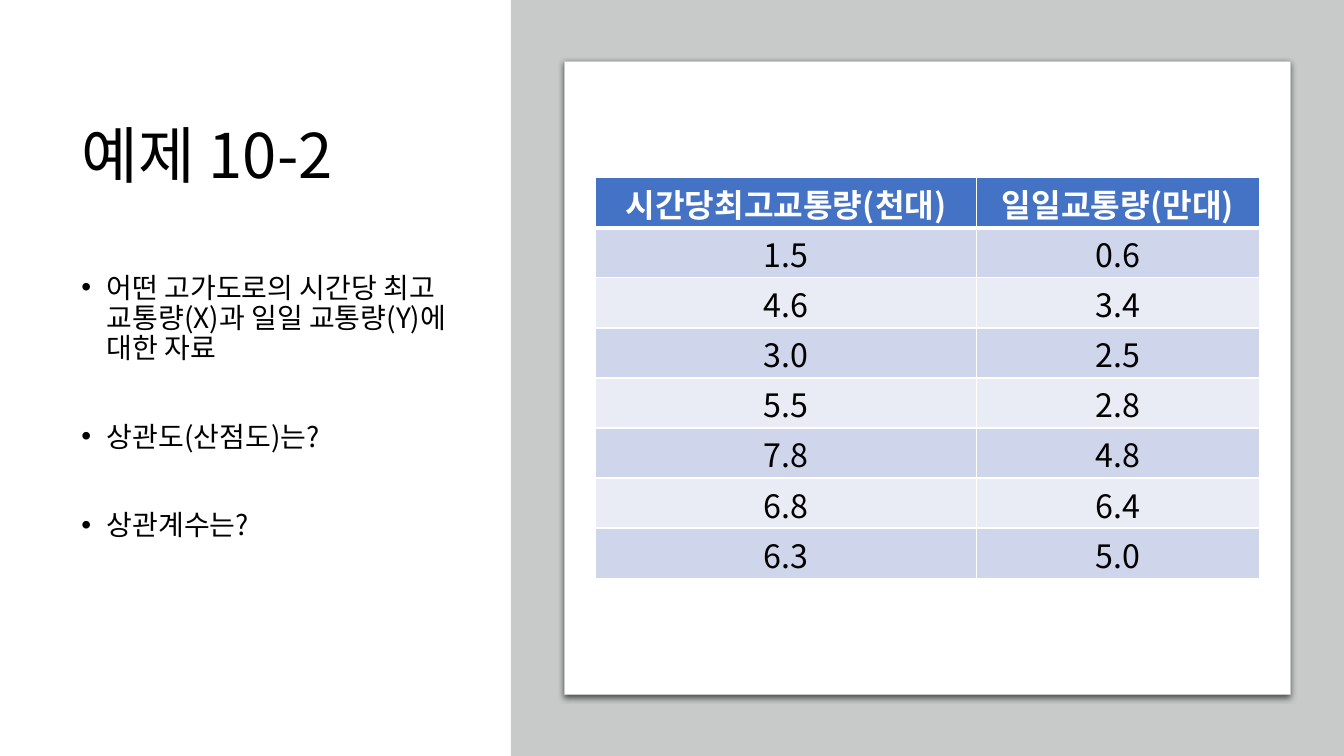
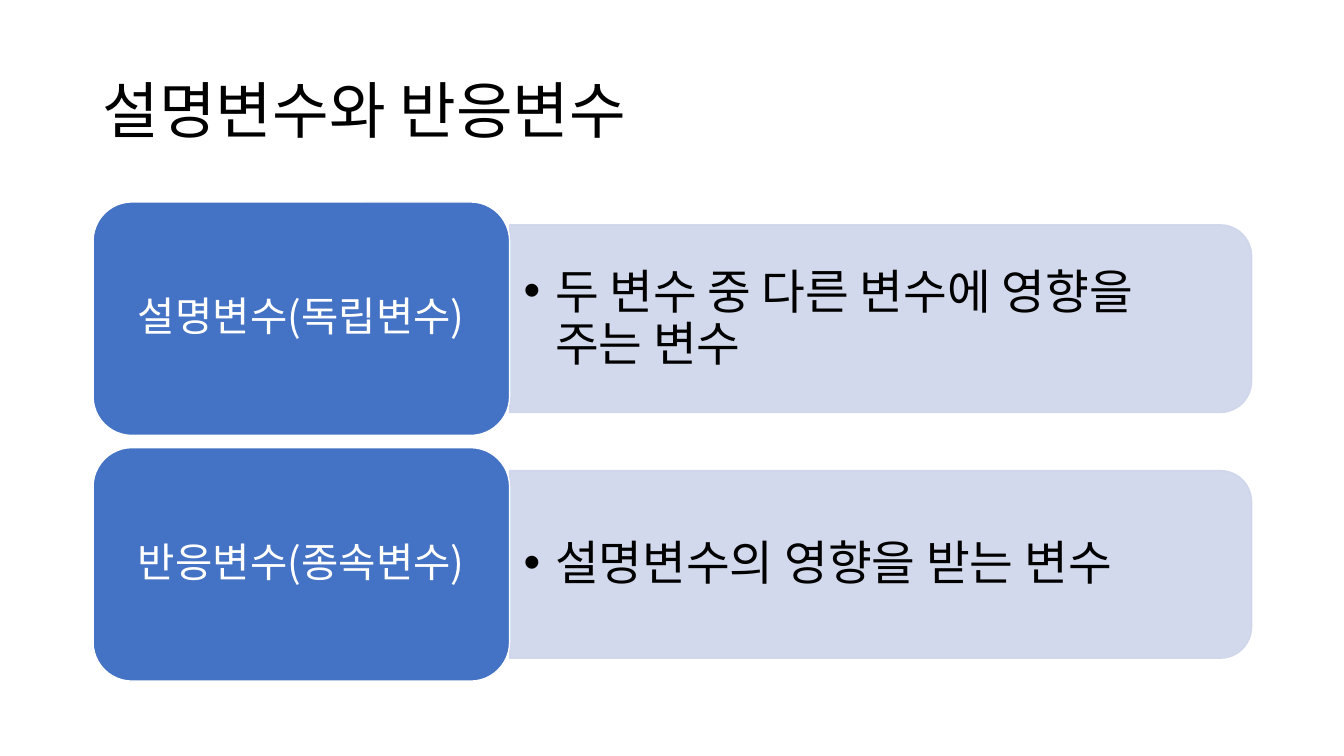
from lxml import etree
from pptx import Presentation
from pptx.dml.color import RGBColor
from pptx.enum import shapes, text
from pptx.oxml import parse_xml
from pptx.oxml.ns import nsdecls, qn
from pptx.util import Pt

FONT = "Noto Sans CJK KR"
COLORS = {
    "ink": "000000", "white": "FFFFFF", "panel": "C8CACA",
    "accent": "4472C4", "tint": "CFD5EA", "pale": "E9EBF5",
}

EXAMPLE_TITLE = "예제 10-2"
QUESTIONS = [
    "어떤 고가도로의 시간당 최고 교통량(X)과 일일 교통량(Y)에 대한 자료",
    "상관도(산점도)는?",
    "상관계수는?",
]
TRAFFIC = [
    ("시간당최고교통량(천대)", "일일교통량(만대)"),
    ("1.5", "0.6"),
    ("4.6", "3.4"),
    ("3.0", "2.5"),
    ("5.5", "2.8"),
    ("7.8", "4.8"),
    ("6.8", "6.4"),
    ("6.3", "5.0"),
]
VARIABLES_TITLE = "설명변수와 반응변수"
VARIABLES = [
    ("설명변수(독립변수)", "두 변수 중 다른 변수에 영향을 주는 변수"),
    ("반응변수(종속변수)", "설명변수의 영향을 받는 변수"),
]


def rgb(name):
    return RGBColor.from_string(COLORS[name])


def place(shape, left, top, width, height):
    shape.left, shape.top = Pt(left), Pt(top)
    shape.width, shape.height = Pt(width), Pt(height)


def write(para, words, size, color="ink", bold=False,
          align=text.PP_ALIGN.LEFT, spacing=0.9):
    para.alignment = align
    para.line_spacing = spacing
    para.space_before = para.space_after = Pt(0)
    span = para.add_run()
    span.text = words
    span.font.name = FONT
    span.font.size = Pt(size)
    span.font.bold = bold
    span.font.color.rgb = rgb(color)
    east_asian = etree.SubElement(span._r.get_or_add_rPr(), qn("a:ea"))
    east_asian.set("typeface", FONT)


def add_bullet(para, hang):
    props = para._p.get_or_add_pPr()
    props.set("marL", str(Pt(hang)))
    props.set("indent", str(-Pt(hang)))
    etree.SubElement(props, qn("a:buFont")).set("typeface", "Arial")
    etree.SubElement(props, qn("a:buChar")).set("char", "•")


def set_frame(frame, anchor, side=7.2, edge=3.6):
    frame.word_wrap = True
    frame.auto_size = text.MSO_AUTO_SIZE.NONE
    frame.vertical_anchor = anchor
    frame.margin_left = frame.margin_right = Pt(side)
    frame.margin_top = frame.margin_bottom = Pt(edge)


def add_block(page, kind, area, fill, line=None, line_width=1):
    block = page.shapes.add_shape(kind, *map(Pt, area))
    block.shadow.inherit = False
    block.fill.solid()
    block.fill.fore_color.rgb = rgb(fill)
    if line:
        block.line.color.rgb = rgb(line)
        block.line.width = Pt(line_width)
    else:
        block.line.fill.background()
    return block


def add_page(deck, layout, title, area):
    page = deck.slides.add_slide(deck.slide_layouts[layout])
    heading = page.shapes.title
    place(heading, *area)
    set_frame(heading.text_frame, text.MSO_ANCHOR.MIDDLE)
    write(heading.text_frame.paragraphs[0], title, 44)
    return page


def add_drop_shadow(shape):
    effects = shape._element.spPr.find(qn("a:effectLst"))
    effects.append(parse_xml(
        f'<a:outerShdw {nsdecls("a")} blurRad="{Pt(4.5)}" dist="{Pt(1.5)}" '
        'dir="5400000" algn="t" rotWithShape="0"><a:srgbClr val="000000">'
        '<a:alpha val="63000"/></a:srgbClr></a:outerShdw>'))


def add_borders(cell, top, bottom):
    """Draw white cell edges; must run before the cell is filled."""
    props = cell._tc.get_or_add_tcPr()
    for side, width in (("L", 1), ("R", 1), ("T", top), ("B", bottom)):
        props.append(parse_xml(
            f'<a:ln{side} {nsdecls("a")} w="{Pt(width)}"><a:solidFill>'
            f'<a:srgbClr val="{COLORS["white"]}"/></a:solidFill></a:ln{side}>'))


def add_traffic_table(page):
    widths, row_height = (272, 202), 35.75
    table = page.shapes.add_table(
        len(TRAFFIC), len(widths), Pt(425.5), Pt(127),
        Pt(sum(widths)), Pt(row_height * len(TRAFFIC))).table
    for column, width in zip(table.columns, widths):
        column.width = Pt(width)
    for i, values in enumerate(TRAFFIC):
        header = i == 0
        table.rows[i].height = Pt(row_height)
        for j, value in enumerate(values):
            cell = table.cell(i, j)
            add_borders(cell, 3 if i == 1 else 1, 3 if header else 1)
            cell.fill.solid()
            cell.fill.fore_color.rgb = rgb(
                "accent" if header else "tint" if i % 2 else "pale")
            cell.vertical_anchor = text.MSO_ANCHOR.MIDDLE
            cell.margin_left = cell.margin_right = cell.margin_top = Pt(1.2)
            cell.margin_bottom = Pt(0)
            write(cell.text_frame.paragraphs[0], value, 23,
                  "white" if header else "ink", header,
                  text.PP_ALIGN.CENTER, 1.0)


def build_example(deck):
    page = add_page(deck, 1, EXAMPLE_TITLE, (51, 50, 276, 127))
    body = page.placeholders[1]
    place(body, 51, 192, 276, 298)
    frame = body.text_frame
    set_frame(frame, text.MSO_ANCHOR.TOP)
    for i, question in enumerate(QUESTIONS):
        para = frame.add_paragraph() if i else frame.paragraphs[0]
        add_bullet(para, 18)
        write(para, question, 20, spacing=Pt(21.6))
        if i:
            para.space_before = Pt(41.6)
    rectangle = shapes.MSO_SHAPE.RECTANGLE
    add_block(page, rectangle, (365, 0, 595, 540), "panel")
    card = add_block(page, rectangle, (403, 44, 518.5, 452),
                     "white", "panel", 0.75)
    add_drop_shadow(card)
    add_traffic_table(page)


def add_bar(page, left, middle, length, thickness):
    """Draw a translucent bar rounded at its right end."""
    area = (left + (length - thickness) / 2, middle - length / 2,
            thickness, length)
    bar = add_block(page, shapes.MSO_SHAPE.ROUND_2_SAME_RECTANGLE, area,
                    "tint", "tint")
    bar.rotation = 90
    for color in bar._element.spPr.iter(qn("a:srgbClr")):
        etree.SubElement(color, qn("a:alpha")).set("val", "90000")


def build_variables(deck):
    page = add_page(deck, 5, VARIABLES_TITLE, (66, 29, 828, 104))
    left, top, pitch = 66.5, 144.25, 175.5
    label_width, label_height = 297.5, 166.75
    bar_left, note_height = left + label_width, 121
    for i, (name, meaning) in enumerate(VARIABLES):
        label_top = top + i * pitch
        middle = label_top + label_height / 2
        add_bar(page, bar_left, middle, 530, 134)

        note = page.shapes.add_textbox(
            Pt(bar_left), Pt(middle - note_height / 2),
            Pt(523.5), Pt(note_height))
        set_frame(note.text_frame, text.MSO_ANCHOR.MIDDLE, 10, 5)
        para = note.text_frame.paragraphs[0]
        add_bullet(para, 22.5)
        write(para, meaning, 34, spacing=Pt(37.3))

        label = add_block(page, shapes.MSO_SHAPE.ROUNDED_RECTANGLE,
                          (left, label_top, label_width, label_height),
                          "accent", "white")
        set_frame(label.text_frame, text.MSO_ANCHOR.MIDDLE, 8, 4)
        write(label.text_frame.paragraphs[0], name, 29, "white",
              align=text.PP_ALIGN.CENTER)


def main():
    deck = Presentation()
    deck.slide_width, deck.slide_height = Pt(960), Pt(540)
    build_example(deck)
    build_variables(deck)
    deck.save("out.pptx")


if __name__ == "__main__":
    main()
